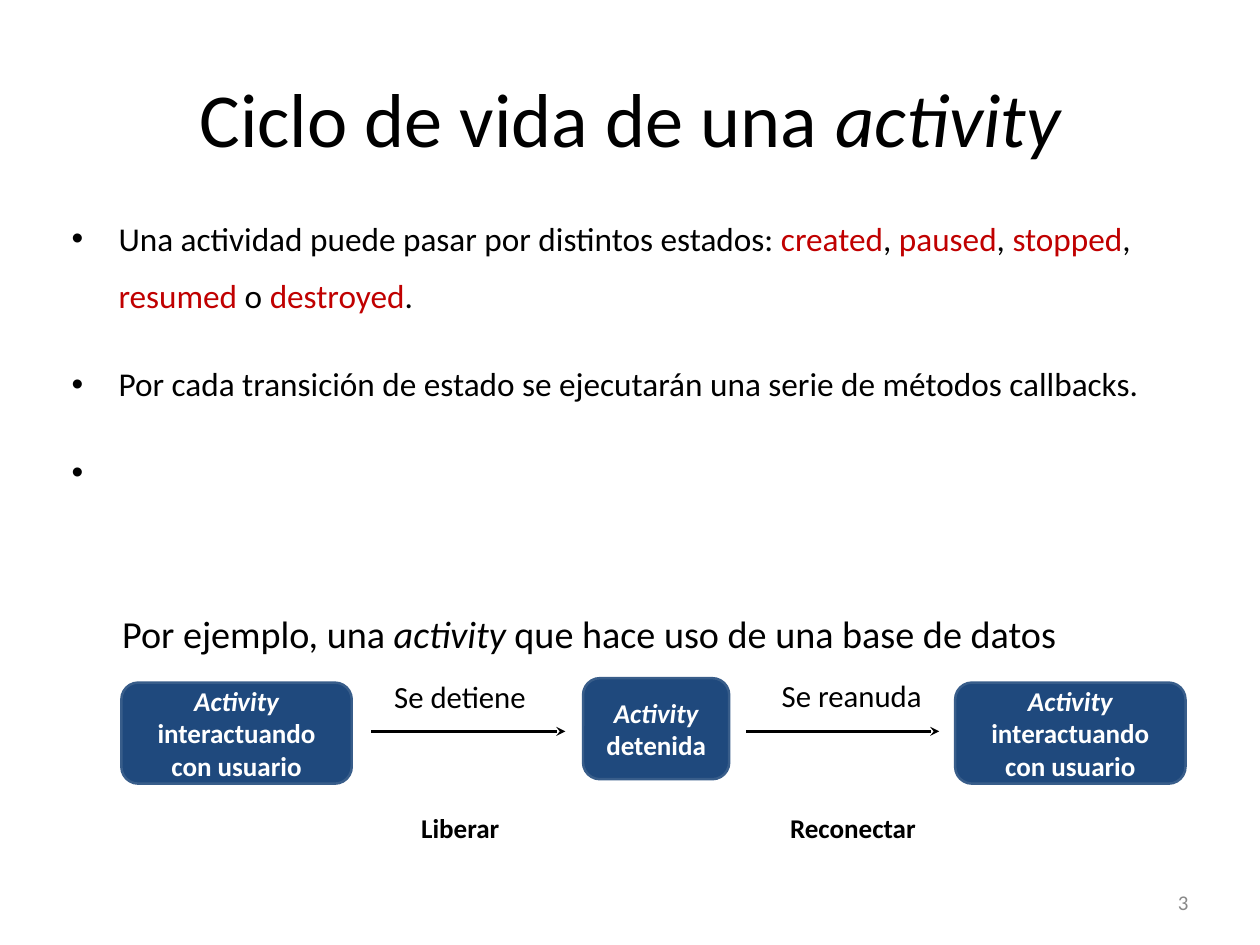
"""Build the slide on the life cycle of an activity."""
import dataclasses

import lxml.etree
import pptx
import pptx.dml.color
import pptx.enum.shapes
import pptx.enum.text
import pptx.oxml.ns
import pptx.util

Inches = pptx.util.Inches
Pt = pptx.util.Pt
Align = pptx.enum.text.PP_ALIGN
Anchor = pptx.enum.text.MSO_ANCHOR
qn = pptx.oxml.ns.qn


@dataclasses.dataclass(frozen=True)
class Theme:
    font: str = "Calibri"
    text: str = "000000"
    state: str = "C00000"
    muted: str = "898989"
    box_fill: str = "1F497D"
    box_line: str = "385D8A"
    box_text: str = "FFFFFF"
    title_size: int = 62
    example_size: int = 31
    body_size: int = 27
    arrow_size: int = 25
    label_size: int = 22
    number_size: int = 17


THEME = Theme()
ITALIC = {"italic": True}
STATE = {"color": THEME.state}


def rgb(color):
    return pptx.dml.color.RGBColor.from_string(color)


def add_spans(para, spans, size, color=THEME.text, bold=False):
    for words, changes in spans:
        values = {"name": THEME.font, "size": Pt(size), "bold": bold, "italic": False}
        values.update(changes)
        span_color = values.pop("color", color)
        span = para.add_run()
        span.text = words
        for name, value in values.items():
            setattr(span.font, name, value)
        span.font.color.rgb = rgb(span_color)


def add_text(page, place, spans, size, color=THEME.text, bold=False,
             align=Align.CENTER, anchor=Anchor.TOP):
    box = page.shapes.add_textbox(*map(Inches, place))
    box.text_frame.word_wrap = True
    box.text_frame.vertical_anchor = anchor
    para = box.text_frame.paragraphs[0]
    para.alignment = align
    add_spans(para, spans, size, color, bold)


def add_bullet(para):
    properties = para._p.get_or_add_pPr()
    properties.set("marL", str(Inches(0.53)))
    properties.set("indent", str(-Inches(0.53)))
    for tag, name, value in (("a:buFont", "typeface", "Arial"), ("a:buChar", "char", "•")):
        lxml.etree.SubElement(properties, qn(tag)).set(name, value)


def add_bullet_list(page, place, items):
    box = page.shapes.add_textbox(*map(Inches, place))
    frame = box.text_frame
    frame.word_wrap = True
    for index, spans in enumerate(items):
        para = frame.add_paragraph() if index else frame.paragraphs[0]
        add_bullet(para)
        para.line_spacing = 1.44
        para.space_before = Pt(25 if index else 0)
        add_spans(para, spans, THEME.body_size)


def add_state_box(page, left, top, width, description):
    box = page.shapes.add_shape(
        pptx.enum.shapes.MSO_SHAPE.ROUNDED_RECTANGLE,
        *map(Inches, (left, top, width, 1.14)))
    box.shadow.inherit = False
    box.fill.solid()
    box.fill.fore_color.rgb = rgb(THEME.box_fill)
    box.line.color.rgb = rgb(THEME.box_line)
    box.line.width = Pt(2)
    box.text_frame.word_wrap = True
    box.text_frame.vertical_anchor = Anchor.MIDDLE
    para = box.text_frame.paragraphs[0]
    para.alignment = Align.CENTER
    add_spans(para, [("Activity", ITALIC), (" " + description, {})],
              THEME.label_size, THEME.box_text, bold=True)


def add_arrow(page, start, end, height):
    arrow = page.shapes.add_connector(
        pptx.enum.shapes.MSO_CONNECTOR.STRAIGHT,
        *map(Inches, (start, height, end, height)))
    arrow.line.color.rgb = rgb(THEME.text)
    arrow.line.width = Pt(2.5)
    line = arrow.line._get_or_add_ln()
    lxml.etree.SubElement(line, qn("a:tailEnd")).set("type", "stealth")
    lxml.etree.SubElement(arrow._element.spPr, qn("a:effectLst"))


def main():
    deck = pptx.Presentation()
    deck.slide_width, deck.slide_height = Inches(14.22), Inches(10.66)
    page = deck.slides.add_slide(deck.slide_layouts[6])

    add_text(page, (0.71, 0.43, 12.8, 1.78),
             [("Ciclo de vida de una ", {}), ("activity", ITALIC)],
             THEME.title_size, anchor=Anchor.MIDDLE)
    add_bullet_list(page, (0.71, 2.21, 12.8, 4.07), [
        [("Una actividad puede pasar por distintos estados: ", {}),
         ("created", STATE), (", ", {}), ("paused", STATE), (", ", {}),
         ("stopped", STATE), (", ", {}), ("resumed ", STATE), ("o ", {}),
         ("destroyed", STATE), (".", {})],
        [("Por cada transición de estado se ejecutarán una serie de métodos callbacks.", {})],
        [(" ", {})],
    ])
    add_text(page, (1.28, 6.83, 11.77, 0.62),
             [("Por ejemplo, una ", {}), ("activity", ITALIC),
              (" que hace uso de una base de datos", {})],
             THEME.example_size, align=Align.LEFT)

    for left, top, width, description in (
            (1.37, 7.7, 2.6, "interactuando con usuario"),
            (6.58, 7.65, 1.65, "detenida"),
            (10.78, 7.7, 2.6, "interactuando con usuario")):
        add_state_box(page, left, top, width, description)
    for start, end in ((4.19, 6.38), (8.42, 10.6)):
        add_arrow(page, start, end, 8.25)

    for place, words, size, bold in (
            ((4.2, 7.59, 1.98, 0.52), "Se detiene", THEME.arrow_size, False),
            ((8.64, 7.58, 2.02, 0.52), "Se reanuda ", THEME.arrow_size, False),
            ((4.53, 9.1, 1.33, 0.47), "Liberar", THEME.label_size, True),
            ((8.68, 9.1, 1.89, 0.47), "Reconectar", THEME.label_size, True)):
        add_text(page, place, [(words, {})], size, bold=bold)
    add_text(page, (10.19, 9.89, 3.32, 0.57), [("3", {})], THEME.number_size,
             THEME.muted, align=Align.RIGHT, anchor=Anchor.MIDDLE)
    deck.save("out.pptx")


if __name__ == "__main__":
    main()
